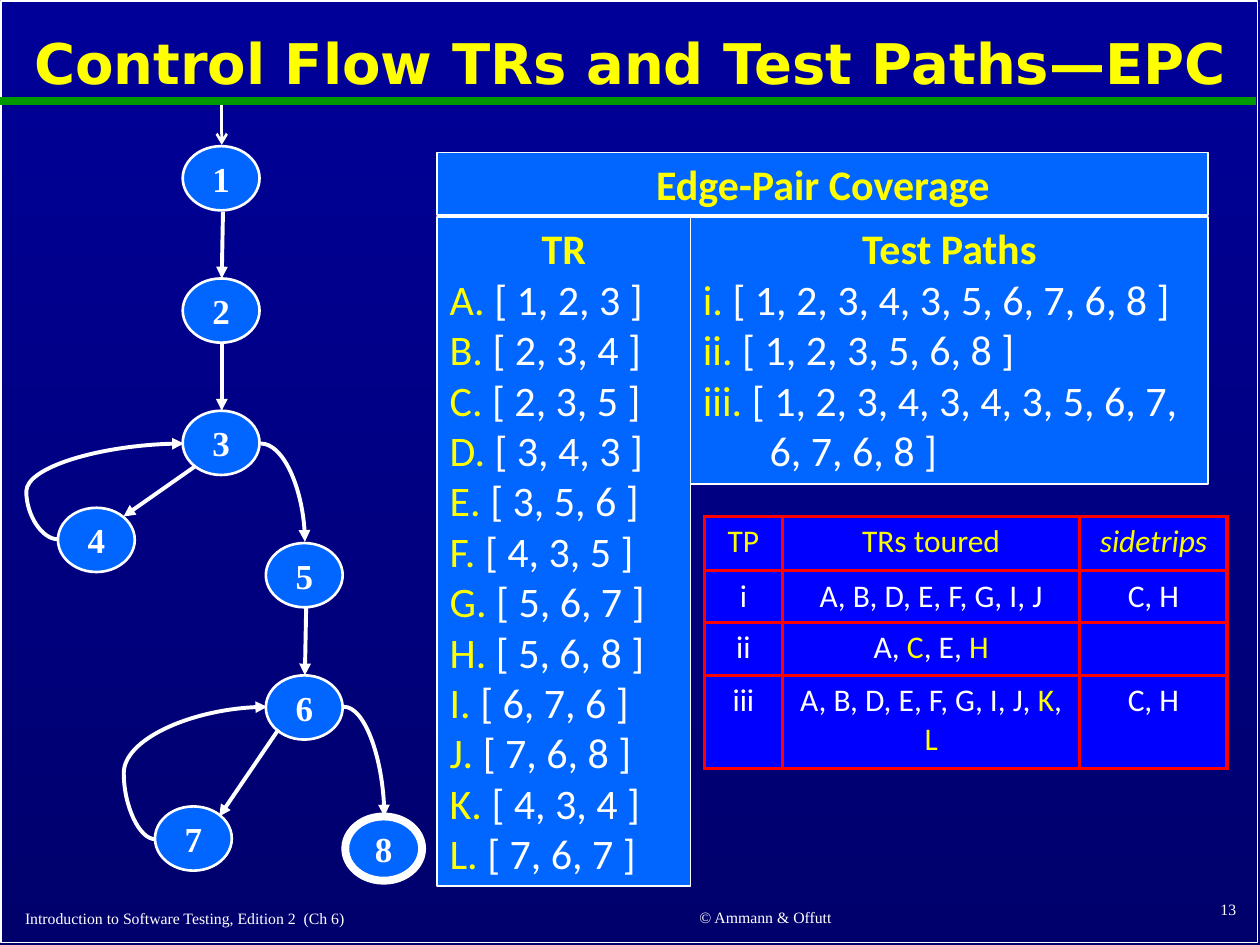
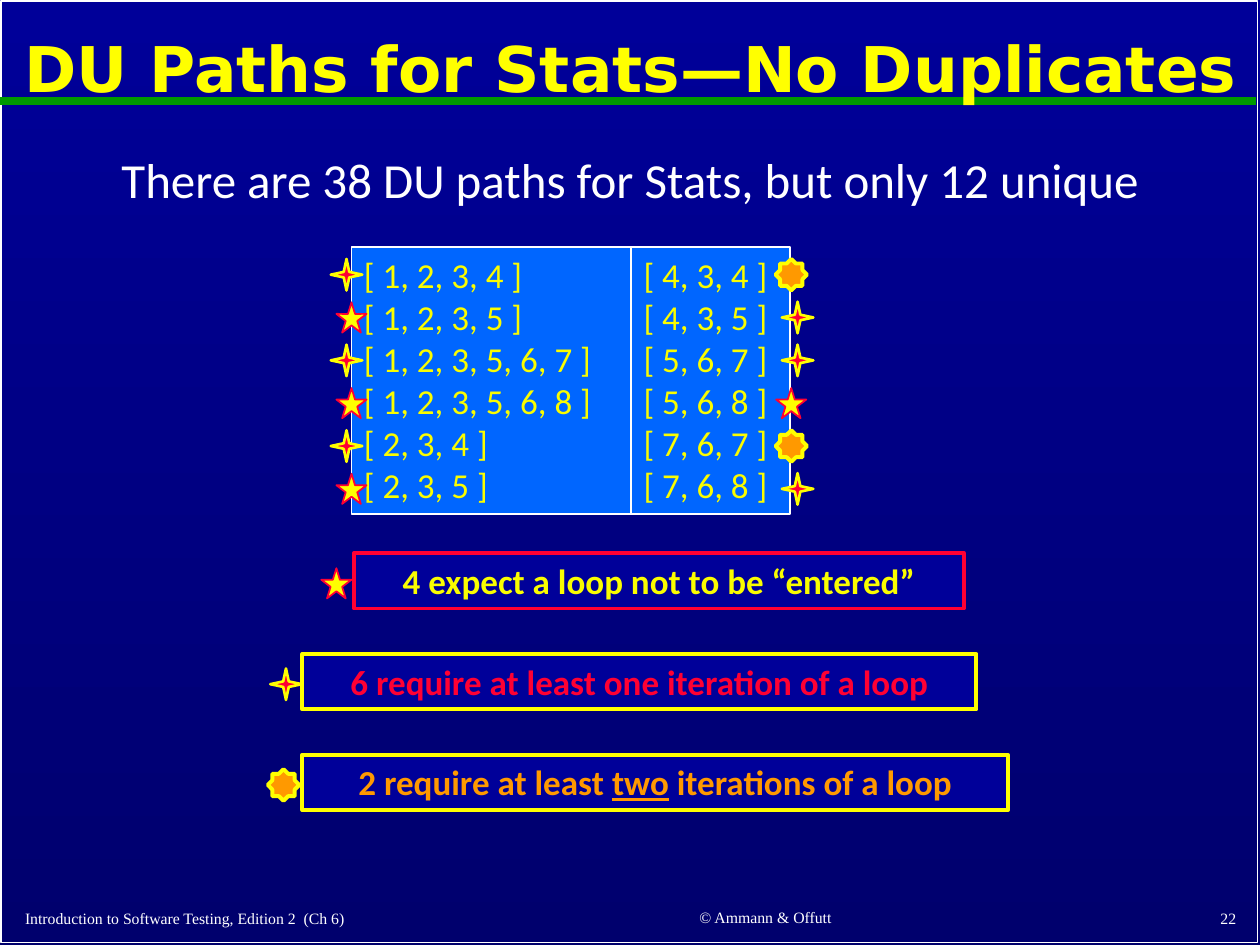
import pptx
import pptx.dml.color
import pptx.enum.shapes
import pptx.enum.text
import pptx.oxml
import pptx.oxml.ns
import pptx.shapes.connector
import pptx.util
from pptx.util import Inches

rgb = pptx.dml.color.RGBColor.from_string
qn = pptx.oxml.ns.qn
SHAPE = pptx.enum.shapes.MSO_SHAPE
CONNECTOR = pptx.enum.shapes.MSO_CONNECTOR
ALIGN = pptx.enum.text.PP_ALIGN
ANCHOR = pptx.enum.text.MSO_ANCHOR

WHITE, YELLOW, GOLD = "FFFFFF", "FFFF00", "FAFD00"
BLUE, NAVY, DEEP_BLUE = "0066FF", "000099", "0000FF"
RED, CRIMSON, ORANGE, GREEN = "FF0000", "FF0033", "FF9900", "009900"


def write(frame, paragraphs, size=24, color=WHITE, font="Calibri", bold=False,
          align=ALIGN.LEFT, anchor=ANCHOR.TOP, spacing=None):
    """Fill a text frame; a paragraph is a string or a list of strings and (string, changes)."""
    frame.word_wrap = True
    frame.auto_size = pptx.enum.text.MSO_AUTO_SIZE.NONE
    frame.vertical_anchor = anchor
    for index, runs in enumerate(paragraphs):
        paragraph = frame.add_paragraph() if index else frame.paragraphs[0]
        paragraph.alignment = align
        if spacing:
            paragraph.line_spacing = spacing
        for part in [runs] if isinstance(runs, str) else runs:
            text, changes = (part, {}) if isinstance(part, str) else part
            run = paragraph.add_run()
            run.text = text
            run.font.name = font
            run.font.size = pptx.util.Pt(size)
            run.font.bold = changes.get("bold", bold)
            run.font.italic = changes.get("italic", False)
            run.font.underline = changes.get("underline", False)
            run.font.color.rgb = rgb(changes.get("color", color))


def style(shape, line, width, fill=None, arrow=None):
    """Set line and fill of a shape or connector, and drop its shadow."""
    shape.line.color.rgb = rgb(line)
    shape.line.width = pptx.util.Pt(width)
    if isinstance(shape, pptx.shapes.connector.Connector):
        properties = shape.element.spPr
        if arrow:
            outline = properties.find(qn("a:ln"))
            outline.append(outline.makeelement(qn("a:tailEnd"), {"type": arrow}))
        properties.append(properties.makeelement(qn("a:effectLst"), {}))
        return
    shape.shadow.inherit = False
    if fill:
        shape.fill.solid()
        shape.fill.fore_color.rgb = rgb(fill)
    else:
        shape.fill.background()


deck = pptx.Presentation()
deck.slide_width, deck.slide_height = Inches(10), Inches(7.5)

backdrop = deck.slide_master.background.fill
backdrop.gradient()
backdrop.gradient_angle = 270
for stop, position, color in zip(backdrop.gradient_stops, (0, 1), (NAVY, "00006D")):
    stop.position = position
    stop.color.rgb = rgb(color)

# Title, frame, band and footers of both slides
slides = []
for title, title_size, title_height, number, number_top, number_height in [
    ("Control Flow TRs and Test Paths—EPC", 32, 0.84, "13", 7.02, 0.4),
    ("DU Paths for Stats—No Duplicates", 36, 0.92, "22", 7.15, 0.27),
]:
    slide = deck.slides.add_slide(deck.slide_layouts[5])
    slides.append(slide)
    heading = slide.shapes.title
    heading.left, heading.top = Inches(0.08), Inches(0.11)
    heading.width, heading.height = Inches(9.85), Inches(title_height)
    write(heading.text_frame, [title], size=title_size, color=YELLOW, font="DejaVu Sans",
          bold=True, align=ALIGN.CENTER, anchor=ANCHOR.MIDDLE, spacing=0.9)

    border = slide.shapes.add_shape(SHAPE.RECTANGLE, Inches(0.01), Inches(0.01),
                                    Inches(9.97), Inches(7.47))
    style(border, WHITE, 1)
    band = slide.shapes.add_connector(CONNECTOR.STRAIGHT, 0, Inches(0.8),
                                      Inches(9.97), Inches(0.8))
    style(band, GREEN, 4.5)
    # The band lies behind the title, whose descenders reach over it
    for part in (band, border):
        slide.shapes.element.insert(2, part.element)

    for text, left, top, width, height, align in [
        ("Introduction to Software Testing, Edition 2  (Ch 6)", 0.1, 7.16, 4.11, 0.26, ALIGN.LEFT),
        ("© Ammann & Offutt", 4.49, 7.15, 3.17, 0.26, ALIGN.CENTER),
        (number, 7.83, number_top, 2.08, number_height, ALIGN.RIGHT),
    ]:
        footer = slide.shapes.add_textbox(Inches(left), Inches(top), Inches(width), Inches(height))
        write(footer.text_frame, [text], size=9, font="Times New Roman",
              align=align, anchor=ANCHOR.MIDDLE)

coverage, du_paths = slides

# Slide 1: control flow graph
for label, left, top in [
    ("1", 1.45, 1.16), ("2", 1.45, 2.21), ("3", 1.45, 3.26), ("4", 0.46, 4.03),
    ("5", 2.11, 4.31), ("6", 2.11, 5.36), ("7", 1.23, 6.4), ("8", 2.74, 6.48),
]:
    node = coverage.shapes.add_shape(SHAPE.OVAL, Inches(left), Inches(top),
                                     Inches(0.61), Inches(0.51))
    style(node, WHITE, 4.5 if label == "8" else 1.5, BLUE)
    frame = node.text_frame
    frame.margin_left = frame.margin_right = frame.margin_top = frame.margin_bottom = 0
    write(frame, [label], size=20, font="Times New Roman", bold=True,
          align=ALIGN.CENTER, anchor=ANCHOR.MIDDLE)

for x1, y1, x2, y2, width, arrow in [
    (1.76, 0.83, 1.76, 1.15, 1.5, "arrow"),
    (1.77, 1.68, 1.76, 2.21, 2.25, "triangle"),
    (1.76, 2.73, 1.76, 3.26, 2.25, "triangle"),
    (1.55, 3.7, 0.98, 4.1, 2.25, "triangle"),
    (2.43, 4.82, 2.42, 5.36, 2.25, "triangle"),
    (2.21, 5.79, 1.74, 6.48, 2.25, "triangle"),
]:
    edge = coverage.shapes.add_connector(CONNECTOR.STRAIGHT, Inches(x1), Inches(y1),
                                         Inches(x2), Inches(y2))
    style(edge, WHITE, width, arrow=arrow)

# Curved edges: a bulge means the edge loops back on the left
for x1, y1, x2, y2, bulge in [
    (2.07, 3.52, 2.42, 4.3, None),
    (2.73, 5.61, 3.05, 6.48, None),
    (0.46, 4.28, 1.46, 3.52, -25100),
    (1.23, 6.66, 2.12, 5.61, -27900),
]:
    edge = coverage.shapes.add_connector(CONNECTOR.CURVE, Inches(x1), Inches(y1),
                                         Inches(x2), Inches(y2))
    style(edge, WHITE, 2.25, arrow="triangle")
    geometry = edge.element.spPr.find(qn("a:prstGeom"))
    if bulge is None:
        geometry.set("prst", "curvedConnector2")
    else:
        adjustments = geometry.find(qn("a:avLst"))
        adjustments.append(adjustments.makeelement(
            qn("a:gd"), {"name": "adj1", "fmla": f"val {bulge}"}))
        transform = edge.element.spPr.find(qn("a:xfrm"))
        del transform.attrib["flipV"]
        transform.set("rot", "10800000")
        transform.set("flipH", "1")

# Slide 1: requirements and test paths
yellow, yellow_bold = {"color": YELLOW}, {"color": YELLOW, "bold": True}
requirements = ["1, 2, 3", "2, 3, 4", "2, 3, 5", "3, 4, 3", "3, 5, 6", "4, 3, 5",
                "5, 6, 7", "5, 6, 8", "6, 7, 6", "7, 6, 8", "4, 3, 4", "7, 6, 7"]
requirement_lines = [[(f"{letter}. ", yellow), f"[ {path} ]"]
                     for letter, path in zip("ABCDEFGHIJKL", requirements)]
test_path_lines = [
    [("i.", yellow), " [ 1, 2, 3, 4, 3, 5, 6, 7, 6, 8 ]"],
    [("ii.", yellow), " [ 1, 2, 3, 5, 6, 8 ]"],
    [("iii.", yellow), " [ 1, 2, 3, 4, 3, 4, 3, 5, 6, 7,"],
    "6, 7, 6, 8 ]",
]
for heading, lines, left, top, width, height in [
    ("TR", requirement_lines, 3.47, 1.72, 2.01, 5.31),
    ("Test Paths", test_path_lines, 5.48, 1.72, 4.11, 2.12),
    ("Edge-Pair Coverage", [], 3.47, 1.21, 6.12, 0.5),
]:
    panel = coverage.shapes.add_shape(SHAPE.RECTANGLE, Inches(left), Inches(top),
                                      Inches(width), Inches(height))
    style(panel, WHITE, 1, BLUE)
    write(panel.text_frame, [[(heading, yellow_bold)]] + lines)
    panel.text_frame.paragraphs[0].alignment = ALIGN.CENTER
    if lines is test_path_lines:
        continuation = panel.text_frame.paragraphs[-1]
        continuation._p.get_or_add_pPr().set("marL", str(Inches(0.53)))

# Slide 1: which test path tours which requirements
gold = {"color": GOLD}
tours = [
    [[("TP", gold)], [("TRs toured", gold)], [("sidetrips", {"color": GOLD, "italic": True})]],
    ["i", "A, B, D, E, F, G, I, J", "C, H"],
    ["ii", ["A, ", ("C", yellow), ", E, ", ("H", yellow)], None],
    ["iii", ["A, B, D, E, F, G, I, J, ", ("K", yellow), ", ", ("L", yellow)], "C, H"],
]
tour_table = coverage.shapes.add_table(4, 3, Inches(5.59), Inches(4.1),
                                       Inches(4.15), Inches(2)).table
tour_table.first_row = tour_table.horz_banding = False
for column, width in zip(tour_table.columns, (0.62, 2.36, 1.17)):
    column.width = Inches(width)
for row, height, contents in zip(tour_table.rows, (0.43, 0.41, 0.42, 0.74), tours):
    row.height = Inches(height)
    for cell, content in zip(row.cells, contents):
        cell.fill.solid()
        cell.fill.fore_color.rgb = rgb(DEEP_BLUE)
        if content:
            write(cell.text_frame, [content], size=18, align=ALIGN.CENTER)
        for index, side in enumerate(("lnL", "lnR", "lnT", "lnB")):
            edge = pptx.oxml.parse_xml(
                f'<a:{side} xmlns:a="http://schemas.openxmlformats.org/drawingml/2006/main" '
                f'w="28575"><a:solidFill><a:srgbClr val="{RED}"/></a:solidFill></a:{side}>')
            cell._tc.get_or_add_tcPr().insert(index, edge)

# Slide 2: unique DU paths
summary = du_paths.shapes.add_textbox(Inches(0.15), Inches(1.19), Inches(9.7), Inches(0.64))
write(summary.text_frame, ["There are 38 DU paths for Stats, but only 12 unique"],
      size=28, align=ALIGN.CENTER, spacing=0.9)

for paths, left, width in [
    (["1, 2, 3, 4", "1, 2, 3, 5", "1, 2, 3, 5, 6, 7", "1, 2, 3, 5, 6, 8", "2, 3, 4", "2, 3, 5"],
     2.79, 2.22),
    (["4, 3, 4", "4, 3, 5", "5, 6, 7", "5, 6, 8", "7, 6, 7", "7, 6, 8"], 5.01, 1.26),
]:
    panel = du_paths.shapes.add_shape(SHAPE.RECTANGLE, Inches(left), Inches(1.96),
                                      Inches(width), Inches(2.12))
    style(panel, WHITE, 1, BLUE)
    write(panel.text_frame, [f"[ {path} ]" for path in paths], size=20, color=GOLD)

for text, color, line, left, top, width in [
    ("4 expect a loop not to be “entered”", GOLD, CRIMSON, 2.81, 4.39, 4.84),
    ("6 require at least one iteration of a loop", CRIMSON, YELLOW, 2.4, 5.19, 5.35),
    (["2 require at least ", ("two", {"color": ORANGE, "underline": True}),
      " iterations of a loop"], ORANGE, YELLOW, 2.4, 5.99, 5.6),
]:
    legend = du_paths.shapes.add_shape(SHAPE.RECTANGLE, Inches(left), Inches(top),
                                       Inches(width), Inches(0.44))
    style(legend, line, 2.25, NAVY)
    write(legend.text_frame, [text], size=20, color=color, bold=True, align=ALIGN.CENTER)

# Marks by loop behaviour: shape, size, fill, line, line width, adjustment
marks = {
    "skip": (SHAPE.STAR_5_POINT, 0.24, YELLOW, CRIMSON, 1, None),
    "once": (SHAPE.STAR_4_POINT, 0.25, CRIMSON, YELLOW, 1.5, 0.125),
    "twice": (SHAPE.STAR_8_POINT, 0.25, ORANGE, YELLOW, 2.25, 0.383),
}
places = [("skip", 2.67, 4.63), ("once", 2.27, 5.43), ("twice", 2.25, 6.23)]
for kinds, center_x, once_x in [
    (("once", "skip", "once", "skip", "once", "skip"), 2.79, 2.75),
    (("twice", "once", "once", "skip", "twice", "once"), 6.28, 6.33),
]:
    for row, kind in enumerate(kinds):
        places.append((kind, once_x if kind == "once" else center_x, 2.18 + 0.34 * row))
for kind, x, y in places:
    preset, size, fill, line, width, adjustment = marks[kind]
    star = du_paths.shapes.add_shape(preset, Inches(x - size / 2), Inches(y - size / 2),
                                     Inches(size), Inches(size))
    style(star, line, width, fill)
    if adjustment:
        star.adjustments[0] = adjustment

deck.save("out.pptx")
